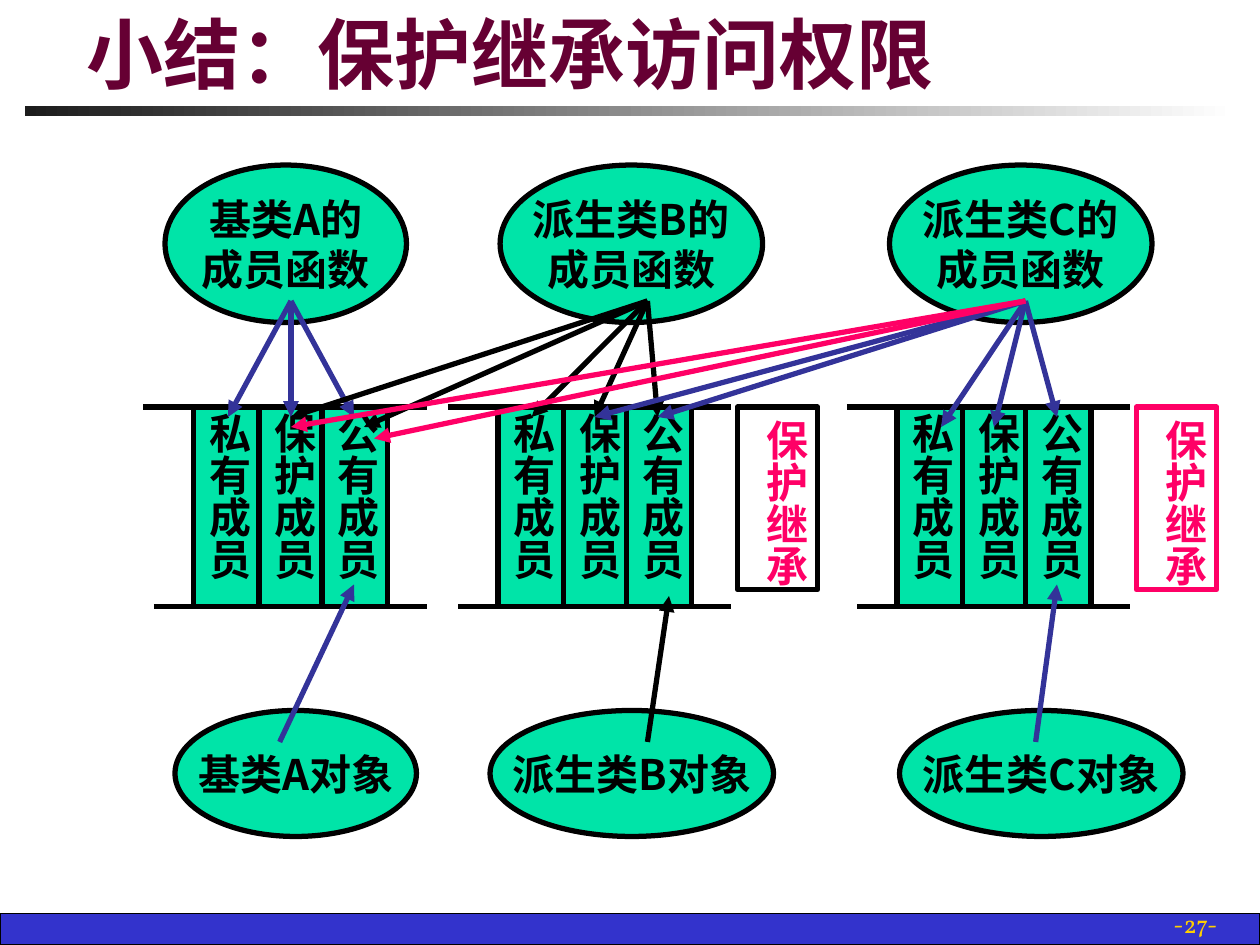
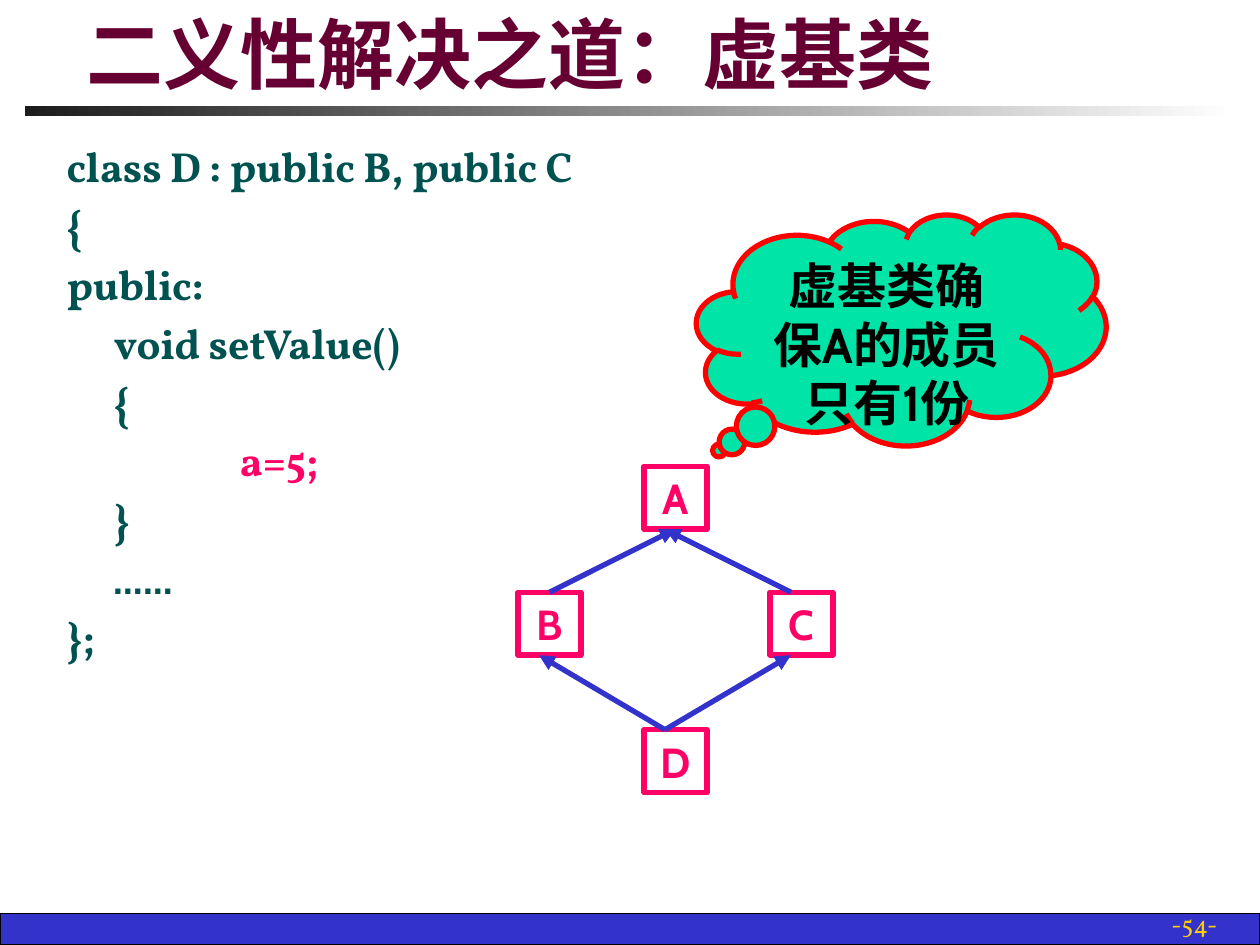
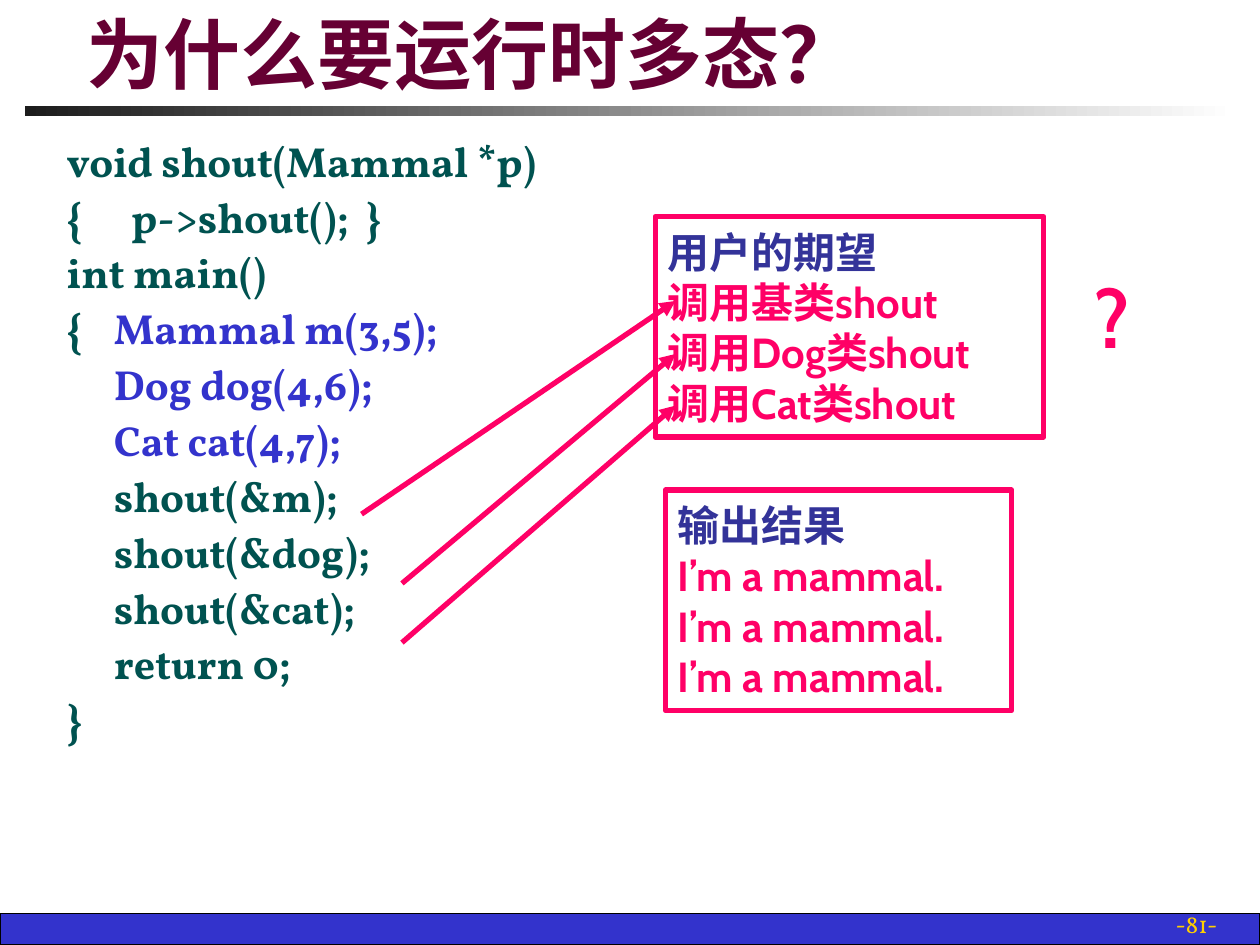
from dataclasses import dataclass
from typing import NamedTuple, Optional

from lxml.etree import SubElement
from pptx import Presentation
from pptx.dml.color import RGBColor
from pptx.enum.lang import MSO_LANGUAGE_ID
from pptx.enum.shapes import MSO_CONNECTOR, MSO_SHAPE
from pptx.enum.text import MSO_ANCHOR, MSO_AUTO_SIZE, PP_ALIGN
from pptx.oxml.ns import qn
from pptx.shapes.autoshape import Shape
from pptx.slide import Slide
from pptx.util import Pt


# Theme: colours, faces and type sizes
@dataclass(frozen=True)
class Theme:
    black: str = "000000"
    white: str = "FFFFFF"
    dark: str = "1C1C1C"
    blue: str = "3333CC"
    navy: str = "333399"
    green: str = "00E4A8"
    teal: str = "005250"
    pink: str = "FF0066"
    red: str = "FF0000"
    wine: str = "660033"
    gold: str = "FFCF01"
    sans: str = "Cabin"
    serif: str = "Vollkorn"
    comic: str = "Comic Neue"
    han: str = "Noto Sans CJK SC"
    title: float = 44
    text: float = 24
    cloud: float = 28
    mark: float = 46
    page: float = 14
    line: float = 3


T = Theme()
LEFT, MID, RIGHT = PP_ALIGN.LEFT, PP_ALIGN.CENTER, PP_ALIGN.RIGHT
TOP, CENTER, BOTTOM = MSO_ANCHOR.TOP, MSO_ANCHOR.MIDDLE, MSO_ANCHOR.BOTTOM


class Box(NamedTuple):
    x: float
    y: float
    w: float
    h: float


class Spot(NamedTuple):
    x: float
    y: float


class Run(NamedTuple):
    text: str
    color: str
    face: str = T.sans


class Line(NamedTuple):
    runs: list[Run]
    left: float = 0
    first: float = 0


@dataclass(frozen=True)
class Style:
    size: float = T.text
    bold: bool = True
    align: PP_ALIGN = MID
    anchor: MSO_ANCHOR = CENTER
    wrap: bool = False
    inset: Optional[float] = None
    before: float = 0
    pitch: Optional[float] = None
    tall: bool = False


LABEL = Style()
CODE = Style(align=LEFT, anchor=TOP, wrap=True, before=4.8)
TIGHT = Style(align=LEFT, anchor=TOP, wrap=True, before=6, pitch=0.9)
SLOT = Style(anchor=TOP, wrap=True, inset=3, before=12, tall=True)
BADGE = Style(align=LEFT, anchor=TOP, tall=True)


# Drawing helpers
def rgb(code: str) -> RGBColor:
    return RGBColor.from_string(code)


def write(shape: Shape, lines: list[Line], style: Style) -> None:
    frame = shape.text_frame
    frame.word_wrap = style.wrap
    frame.vertical_anchor = style.anchor
    frame.auto_size = MSO_AUTO_SIZE.NONE
    if style.inset is not None:
        frame.margin_left = frame.margin_right = Pt(style.inset)
        frame.margin_top = frame.margin_bottom = Pt(style.inset)
    if style.tall:
        frame.auto_size = MSO_AUTO_SIZE.SHAPE_TO_FIT_TEXT
        frame._txBody.bodyPr.set("vert", "eaVert")
    for i, line in enumerate(lines):
        para = frame.add_paragraph() if i else frame.paragraphs[0]
        para.alignment = style.align
        para.space_before = Pt(style.before)
        if style.pitch:
            para.line_spacing = style.pitch
        props = para._p.get_or_add_pPr()
        props.set("marL", str(Pt(line.left)))
        props.set("indent", str(Pt(line.first)))
        for part in line.runs:
            run = para.add_run()
            run.text = part.text
            font = run.font
            font.name, font.size, font.bold = part.face, Pt(style.size), style.bold
            font.color.rgb = rgb(part.color)
            font.language_id = MSO_LANGUAGE_ID.SIMPLIFIED_CHINESE
            SubElement(run._r.get_or_add_rPr(), qn("a:ea")).set("typeface", T.sans)


def draw(slide: Slide, kind: MSO_SHAPE, box: Box, fill: Optional[str] = None,
         edge: Optional[str] = None, width: float = T.line) -> Shape:
    shape = slide.shapes.add_shape(kind, *map(Pt, box))
    shape.shadow.inherit = False
    if fill:
        shape.fill.solid()
        shape.fill.fore_color.rgb = rgb(fill)
    else:
        shape.fill.background()
    if edge:
        shape.line.color.rgb = rgb(edge)
        shape.line.width = Pt(width)
    else:
        shape.line.fill.background()
    return shape


def note(slide: Slide, box: Box, lines: list[Line], style: Style) -> None:
    write(slide.shapes.add_textbox(*map(Pt, box)), lines, style)


def link(slide: Slide, start: Spot, end: Spot, color: str, head: bool = True) -> None:
    line = slide.shapes.add_connector(MSO_CONNECTOR.STRAIGHT, *map(Pt, start + end))
    line.line.color.rgb = rgb(color)
    line.line.width = Pt(T.line)
    if head:
        SubElement(line.line._get_or_add_ln(), qn("a:tailEnd")).set("type", "triangle")
    SubElement(line.element.spPr, qn("a:effectLst"))


def plain(*texts: str, color: str = T.black, face: str = T.sans) -> list[Line]:
    return [Line([Run(text, color, face)]) for text in texts]


# Shared band and rule, kept on the layout
def dress(slide: Slide) -> None:
    layout = slide.slide_layout
    for spare in list(layout.placeholders)[1:]:
        layout.shapes.element.remove(spare.element)
    band = draw(slide, MSO_SHAPE.RECTANGLE, Box(0, 522, 720, 18), T.blue, T.black, 0.75)
    rule = draw(slide, MSO_SHAPE.RECTANGLE, Box(14.4, 60.3, 692, 5.8))
    rule.fill.gradient()
    rule.fill.gradient_angle = 0
    for stop, color in zip(rule.fill.gradient_stops, (T.dark, T.white)):
        stop.color.rgb = rgb(color)
    for shape in (band, rule):
        layout.shapes.element.append(shape.element)


def start(deck: Presentation, title: str, page: int) -> Slide:
    slide = deck.slides.add_slide(deck.slide_layouts[5])
    if len(deck.slides) == 1:
        dress(slide)
    head = slide.shapes.title
    head.left, head.top, head.width, head.height = map(Pt, Box(42.5, 9.4, 628, 51))
    write(head, plain(title, color=T.wine, face=T.comic),
          Style(T.title, align=LEFT, anchor=BOTTOM, wrap=True))
    note(slide, Box(553, 516.2, 149.8, 23.8),
         plain(f"-{page}-", color=T.gold, face=T.serif),
         Style(T.page, False, RIGHT, BOTTOM, True))
    return slide


# Code listing: depth sets the indent, a hanging indent holds the opening brace
STEPS = ((27, -27), (27, 0), (99, 0))
BODY = Box(31, 77, 658, 408)


def code(depth: int, *parts: tuple[str, str]) -> Line:
    runs = [Run(text, color, T.sans if text == "……" else T.serif) for text, color in parts]
    return Line(runs, *STEPS[depth])


# Slide 1: access under protected inheritance
@dataclass(frozen=True)
class Unit:
    name: str
    x: float
    top: Box
    low: Box
    hub: Spot
    color: str
    ends: list[Spot]
    call: tuple[Spot, Spot]
    badge: Optional[str] = None


ROOF, FLOOR = 232.6, 346.4
HIT, DEEP = 238.3, 244

UNITS = [
    Unit("基类A", 82, Box(94.3, 94.3, 138, 90), Box(100, 406, 138, 72),
         Spot(166.3, 172), T.navy, [Spot(x, HIT) for x in (202.3, 166.3, 130.3)],
         (Spot(159.8, 424), Spot(202.3, 334))),
    Unit("派生类B", 256, Box(285.8, 94.3, 150, 90), Box(280, 406, 162, 72),
         Spot(370, 172), T.black,
         [Spot(x, HIT) for x in (339.8, 375.8, 166.3, 303.8)] + [Spot(208, DEEP)],
         (Spot(370, 424), Spot(382.3, 340.6)), T.black),
    Unit("派生类C", 484, Box(508.3, 94.3, 150, 90), Box(514, 406, 162, 72),
         Spot(586, 172), T.navy,
         [Spot(537.8, DEEP), Spot(568, DEEP)] + [Spot(x, HIT) for x in (604, 375.8, 339.8)],
         (Spot(591.8, 424), Spot(604, 334)), T.pink),
]
SLOTS = (("私有成员", 28.6), ("保护成员", 66), ("公有成员", 102))


def show(slide: Slide, unit: Unit) -> None:
    for y, gap in ((ROOF, 0), (FLOOR, 6)):
        link(slide, Spot(unit.x + gap, y), Spot(unit.x + 162, y), T.black, False)
    for name, gap in SLOTS:
        slot = draw(slide, MSO_SHAPE.RECTANGLE,
                    Box(unit.x + gap, ROOF, 37.4, FLOOR - ROOF), T.green, T.black)
        write(slot, plain(name), SLOT)
    if unit.badge:
        badge = draw(slide, MSO_SHAPE.RECTANGLE,
                     Box(unit.x + 165.3, ROOF, 46, 104.4), edge=unit.badge)
        write(badge, plain("保护继承", color=T.pink), BADGE)
    for box, words in ((unit.low, (unit.name + "对象",)),
                       (unit.top, (unit.name + "的", "成员函数"))):
        oval = draw(slide, MSO_SHAPE.OVAL, box, T.green, T.black)
        write(oval, plain(*words, face=T.han), LABEL)
    link(slide, *unit.call, unit.color)
    for end in unit.ends:
        link(slide, unit.hub, end, unit.color)


def access(deck: Presentation) -> None:
    slide = start(deck, "小结：保护继承访问权限", 27)
    for unit in UNITS:
        show(slide, unit)
    for end in (Spot(213.8, 250.6), Spot(166.3, DEEP)):
        link(slide, UNITS[-1].hub, end, T.pink)


# Slide 2: virtual base class
def diamond(deck: Presentation) -> None:
    slide = start(deck, "二义性解决之道：虚基类", 54)
    rows = [(0, "class D : public B, public C"), (0, "{"), (0, "public:"),
            (1, "void setValue()"), (1, "{"), (2, "a=5;"), (1, "}"), (1, "……"), (0, "};")]
    note(slide, BODY, [code(d, (text, T.pink if d == 2 else T.teal)) for d, text in rows], CODE)
    for name, x, y in (("A", 368, 266.4), ("B", 296, 338.4), ("C", 440, 338.4), ("D", 368, 417)):
        node = draw(slide, MSO_SHAPE.RECTANGLE, Box(x, y, 36, 36), edge=T.pink)
        write(node, plain(name, color=T.pink), LABEL)
    for x, y, end, rise in ((380, 417, 308, 374.4), (380, 417, 452, 374.4),
                            (314, 338.4, 386, 302.4), (452, 338.4, 380, 302.4)):
        link(slide, Spot(x, y), Spot(end, rise), T.blue)
    cloud = draw(slide, MSO_SHAPE.CLOUD_CALLOUT, Box(398, 122.4, 234, 132), T.green, T.red)
    cloud.adjustments[0], cloud.adjustments[1] = -0.445, 0.523
    write(cloud, plain("虚基类确保A的成员只有1份"), Style(T.cloud, anchor=TOP, wrap=True))


# Slide 3: why run-time polymorphism
def shout(deck: Presentation) -> None:
    slide = start(deck, "为什么要运行时多态？", 81)
    lines = [code(0, (text, T.teal)) for text in
             ("void shout(Mammal *p)", "{\t  p->shout();  }", "int main()")]
    lines.append(code(0, ("{\t", T.teal), ("Mammal m(3,5);", T.blue)))
    lines += [code(1, (text, T.blue)) for text in ("Dog dog(4,6);", "Cat cat(4,7);")]
    lines += [code(1, (text, T.teal)) for text in
              ("shout(&m);", "shout(&dog);", "shout(&cat);", "return 0;")]
    lines.append(code(0, ("}", T.teal)))
    note(slide, BODY, lines, TIGHT)
    panels = (
        (Box(374.4, 123.8, 222, 126), "用户的期望",
         ("调用基类shout", "调用Dog类shout", "调用Cat类shout")),
        (Box(380.2, 280, 198, 126), "输出结果", ("I’m a mammal.",) * 3),
    )
    for box, head, rows in panels:
        panel = draw(slide, MSO_SHAPE.RECTANGLE, box, edge=T.pink)
        write(panel, plain(head, color=T.navy) + plain(*rows, color=T.pink), Style(align=LEFT))
    for x, y, rise in ((206.6, 293.8, 172), (229.7, 333.4, 202.3), (229.7, 367.2, 231.8)):
        link(slide, Spot(x, y), Spot(386, rise), T.pink)
    note(slide, Box(608.4, 141.8, 54, 77.8), plain("?", color=T.pink), Style(T.mark))


def main() -> None:
    deck = Presentation()
    deck.slide_width, deck.slide_height = Pt(720), Pt(540)
    for build in (access, diamond, shout):
        build(deck)
    deck.save("out.pptx")


if __name__ == "__main__":
    main()
